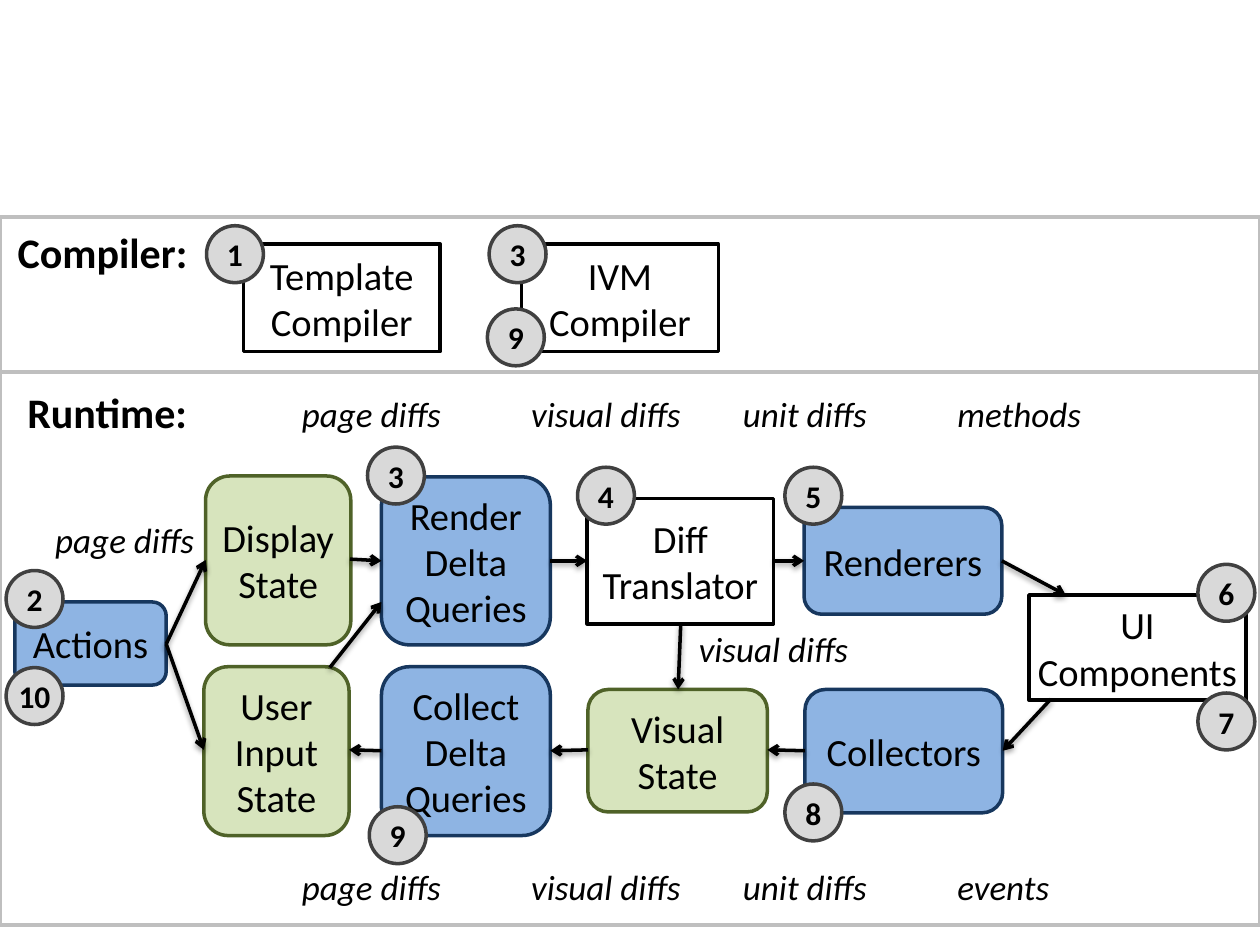
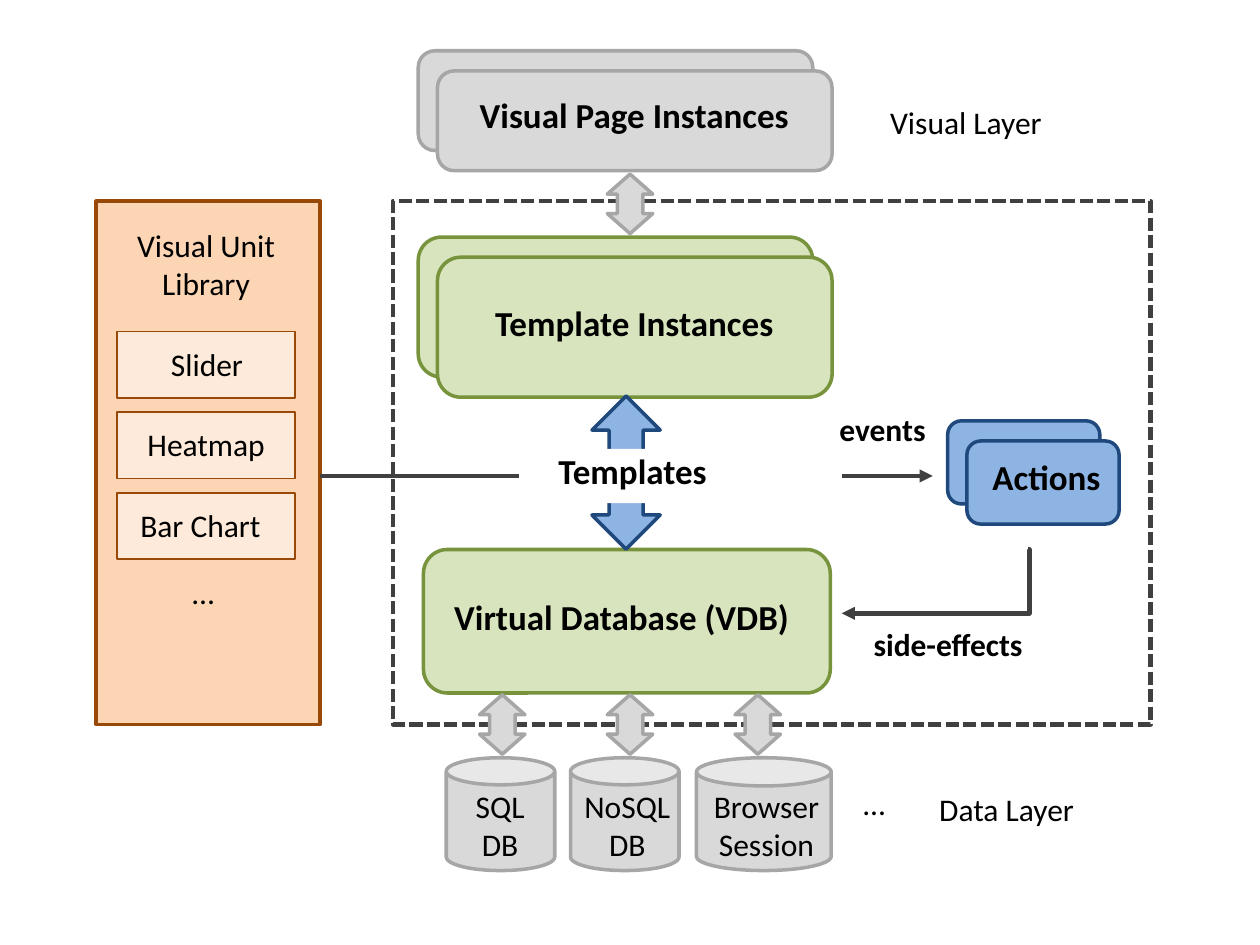
from pptx import Presentation
from pptx import util as u
from pptx.dml import color
from pptx.enum import dml, shapes, text
from pptx.oxml import ns, parse_xml

COLORS = {
    "black": "000000", "white": "FFFFFF", "dark": "404040",
    "frame": "BFBFBF", "gray": "D9D9D9", "gray_line": "A6A6A6",
    "green": "D7E4BD", "state_line": "4F6228", "green_line": "77933C",
    "blue": "8EB4E3", "step_line": "17375E", "blue_line": "1F497D",
    "peach": "FCD5B5", "unit": "FDEADA", "brown": "984807",
}
STATE = ("ROUNDED_RECTANGLE", "green", "state_line")
STEP = ("ROUNDED_RECTANGLE", "blue", "step_line")
TOOL = ("RECTANGLE", "white", "black")
BOX = {"size": u.Pt(22)}
BADGE = {"size": u.Pt(18), "bold": True}
FLOW = {"size": u.Pt(20), "italic": True}
SECTION = {"size": u.Pt(24), "bold": True}
STRONG = {"size": u.Pt(20), "bold": True}
EVENT = {"size": u.Pt(18), "bold": True}
PLAIN = {"size": u.Pt(18)}
A = ns.nsdecls("a")
SHADOW = (
    f'<a:effectLst {A}><a:outerShdw blurRad="40000" dist="20000" dir="5400000" rotWithShape="0">'
    '<a:srgbClr val="000000"><a:alpha val="38000"/></a:srgbClr></a:outerShdw></a:effectLst>'
)
NO_SHADOW = f"<a:effectLst {A}/>"


class Diagram:
    def __init__(self):
        self.presentation = Presentation()
        self.presentation.slide_width = u.Pt(720)
        self.presentation.slide_height = u.Pt(540)
        self.slide = None

    def new_slide(self):
        self.slide = self.presentation.slides.add_slide(self.presentation.slide_layouts[6])

    def rgb(self, name):
        return color.RGBColor.from_string(COLORS[name])

    def set_words(self, shape, words, style, align):
        shape.text_frame.text = words
        for paragraph in shape.text_frame.paragraphs:
            paragraph.alignment = getattr(text.PP_ALIGN, align)
            for run in paragraph.runs:
                run.font.color.rgb = self.rgb("black")
                for name, value in {"name": "Calibri", **style}.items():
                    setattr(run.font, name, value)

    def shape(self, kind, bounds, fill=None, line=None, width=2, dash=None):
        preset = getattr(shapes.MSO_SHAPE, kind)
        shape = self.slide.shapes.add_shape(preset, *map(u.Pt, bounds))
        shape.shadow.inherit = False
        for target, name in ((shape.fill, fill), (shape.line.fill, line)):
            if name:
                target.solid()
                target.fore_color.rgb = self.rgb(name)
            else:
                target.background()
        if line:
            shape.line.width = u.Pt(width)
        if dash:
            shape.line.dash_style = dash
        return shape

    def box(self, words, bounds, look, style=BOX):
        kind, fill, line = look
        shape = self.shape(kind, bounds, fill, line)
        frame = shape.text_frame
        values = {"margin_left": 0, "margin_right": 0, "margin_top": 0, "margin_bottom": 0,
                  "word_wrap": True, "vertical_anchor": text.MSO_ANCHOR.MIDDLE}
        for name, value in values.items():
            setattr(frame, name, value)
        self.set_words(shape, words, style, "CENTER")

    def badge(self, number, left, top):
        self.box(str(number), (left, top, 32.5, 32.5), ("OVAL", "gray", "dark"), BADGE)

    def label(self, words, bounds, style, align="LEFT"):
        shape = self.slide.shapes.add_textbox(*map(u.Pt, bounds))
        shape.text_frame.word_wrap = False
        shape.text_frame.auto_size = text.MSO_AUTO_SIZE.SHAPE_TO_FIT_TEXT
        self.set_words(shape, words, style, align)

    def stack(self, bounds, fill, line):
        left, top, width, height = bounds
        for dx, dy in ((0, 0), (11, 11.5)):
            self.shape("ROUNDED_RECTANGLE", (left + dx, top + dy, width, height), fill, line)

    def double_arrow(self, bounds, fill, line, adjustments=()):
        shape = self.shape("LEFT_RIGHT_ARROW", bounds, fill, line)
        shape.rotation = 90
        for index, value in enumerate(adjustments):
            shape.adjustments[index] = value

    def connector(self, points, line, width, head=None, effect=NO_SHADOW, elbow=False):
        kind = shapes.MSO_CONNECTOR.ELBOW if elbow else shapes.MSO_CONNECTOR.STRAIGHT
        connector = self.slide.shapes.add_connector(kind, *map(u.Pt, points))
        connector.line.color.rgb = self.rgb(line)
        connector.line.width = u.Pt(width)
        properties = connector._element.spPr
        if head:
            properties.find(ns.qn("a:ln")).append(parse_xml(f'<a:tailEnd {A} type="{head}"/>'))
        if elbow:
            geometry = properties.find(ns.qn("a:prstGeom"))
            for old in geometry.findall(ns.qn("a:avLst")):
                geometry.remove(old)
            geometry.append(parse_xml(f'<a:avLst {A}><a:gd name="adj1" fmla="val -700"/></a:avLst>'))
        properties.append(parse_xml(effect))


def build_pipeline(diagram):
    diagram.new_slide()
    for top, height in ((124, 88.5), (213, 315.5)):
        diagram.shape("RECTANGLE", (0, top, 720, height), None, "frame")

    for words, bounds, look in (
        ("Template\nCompiler", (139, 139.5, 112.5, 61.5), TOOL),
        ("IVM\nCompiler", (298, 139.5, 112.5, 61.5), TOOL),
        ("Actions", (8.5, 344, 86.5, 47.5), STEP),
        ("Display State", (117.5, 272, 83, 96.5), STATE),
        ("User Input State", (116.5, 381, 83, 96.5), STATE),
        ("Render\nDelta\nQueries", (218, 272.5, 96.5, 96), STEP),
        ("Collect\nDelta\nQueries", (218, 381, 96.5, 96.5), STEP),
        ("Diff\nTranslator", (335.5, 285, 106.5, 71.5), TOOL),
        ("Visual\nState", (336, 394, 102.5, 70), STATE),
        ("Renderers", (459.5, 290, 113, 61), STEP),
        ("Collectors", (460, 394, 113, 70.5), STEP),
        ("UI\nComponents", (588, 340, 124, 60), TOOL),
    ):
        diagram.box(words, bounds, look)

    for points in (
        (95, 368, 117.5, 320), (95, 368, 116.5, 428.5),
        (200, 319.5, 218, 320.5), (188.5, 381.5, 218, 344),
        (314.5, 320.5, 335.5, 320.5), (442, 320.5, 459.5, 320.5),
        (572.5, 320.5, 609, 340), (600.5, 399.5, 573, 429),
        (460, 429, 438.5, 428.5), (336, 428.5, 314.5, 429),
        (218, 429, 199.5, 428.5), (389, 356.5, 387.5, 394),
    ):
        diagram.connector(points, "black", 2, "arrow", SHADOW)

    for number, left, top in (
        (1, 118, 129), (3, 279.5, 129), (9, 278.5, 176.5),
        (2, 3.5, 326), (10, 3.5, 381.5), (3, 210, 255.5), (9, 211, 461),
        (4, 330, 267), (5, 448.5, 267), (8, 448.5, 448),
        (6, 684.5, 322.5), (7, 684.5, 396),
    ):
        diagram.badge(number, left, top)

    diagram.label("Compiler:", (3, 126, 112, 36), SECTION)
    diagram.label("Runtime:", (8.5, 217.5, 107, 36), SECTION)
    for top, last, last_width in ((221, "methods", 91), (491, "events", 73)):
        diagram.label("page diffs", (165.5, top, 99.5, 31.5), FLOW)
        diagram.label("visual diffs", (290, top, 106, 31.5), FLOW, "RIGHT")
        diagram.label("unit diffs", (417.5, top, 91, 31.5), FLOW)
        diagram.label(last, (540, top, last_width, 31.5), FLOW)
    diagram.label("page diffs", (24.5, 292.5, 99.5, 31.5), FLOW)
    diagram.label("visual diffs", (389, 355, 106, 31.5), FLOW, "CENTER")


def build_architecture(diagram):
    diagram.new_slide()
    diagram.shape("RECTANGLE", (55, 115, 128, 299), "peach", "brown")
    diagram.shape("ROUNDED_RECTANGLE", (242, 314, 232.5, 82), "green", "green_line")
    diagram.stack((239, 135.5, 225.5, 80), "green", "green_line")
    diagram.shape("RECTANGLE", (224.5, 115, 433, 299), None, "dark", 2.5, dml.MSO_LINE.SQUARE_DOT)
    diagram.double_arrow((314, 250.5, 87.5, 39), "blue", "blue_line")
    diagram.stack((541.5, 240.5, 87, 47.5), "blue", "blue_line")
    diagram.stack((239, 29, 225.5, 57), "gray", "gray_line")

    for left, top in ((343, 103.5), (270, 401), (343, 401), (416, 401)):
        diagram.double_arrow((left, top, 34, 26), "gray", "gray_line", (0.56, 0.44))

    for left, width, words, label_left, label_width in (
        (255, 62, "SQL\vDB", 264, 43.5),
        (326, 62, "NoSQL\vDB", 326.5, 64),
        (398, 77, "Browser\vSession", 400, 76),
    ):
        diagram.shape("CAN", (left, 433, width, 64.5), "gray", "gray_line")
        diagram.label(words, (label_left, 446, label_width, 51), PLAIN, "CENTER")

    for row, (words, left, width) in enumerate(
        (("Slider", 90, 56), ("Heatmap", 75.5, 83), ("Bar Chart", 72, 84))
    ):
        top = 189.5 + 46 * row
        diagram.shape("RECTANGLE", (67, top, 101.5, 38), "unit", "brown", 1)
        diagram.label(words, (left, top + 4, width, 29), PLAIN, "RIGHT")

    diagram.shape("ROUNDED_RECTANGLE", (240, 256.5, 236, 31), "white")
    diagram.connector((183, 272, 296.5, 272), "dark", 2.5)
    diagram.connector((481, 272, 533, 272), "dark", 2.5, "triangle")
    diagram.connector((587.5, 314, 481, 350.5), "dark", 2.5, "triangle", elbow=True)

    for words, bounds, style, align in (
        ("Visual Page Instances", (265.5, 50, 194, 31.5), STRONG, "CENTER"),
        ("Template Instances", (274, 169, 177, 31.5), STRONG, "CENTER"),
        ("Templates", (309, 253.5, 102, 31.5), STRONG, "RIGHT"),
        ("Virtual Database (VDB)", (252, 337, 206.5, 31.5), STRONG, "CENTER"),
        ("Actions", (557.5, 256.5, 78.5, 31.5), STRONG, "RIGHT"),
        ("events", (471, 230.5, 65, 29), EVENT, "RIGHT"),
        ("side-effects", (490, 353.5, 101.5, 29), EVENT, "RIGHT"),
        ("Visual Unit\vLibrary", (70.5, 125.5, 94.5, 51), PLAIN, "CENTER"),
        ("…", (102, 324, 27.5, 29), PLAIN, "RIGHT"),
        ("...", (485.5, 444.5, 28, 29), PLAIN, "RIGHT"),
        ("Visual Layer", (500.5, 55.5, 103, 29), PLAIN, "CENTER"),
        ("Data Layer", (528.5, 448, 93.5, 29), PLAIN, "CENTER"),
    ):
        diagram.label(words, bounds, style, align)


diagram = Diagram()
build_pipeline(diagram)
build_architecture(diagram)
diagram.presentation.save("out.pptx")
